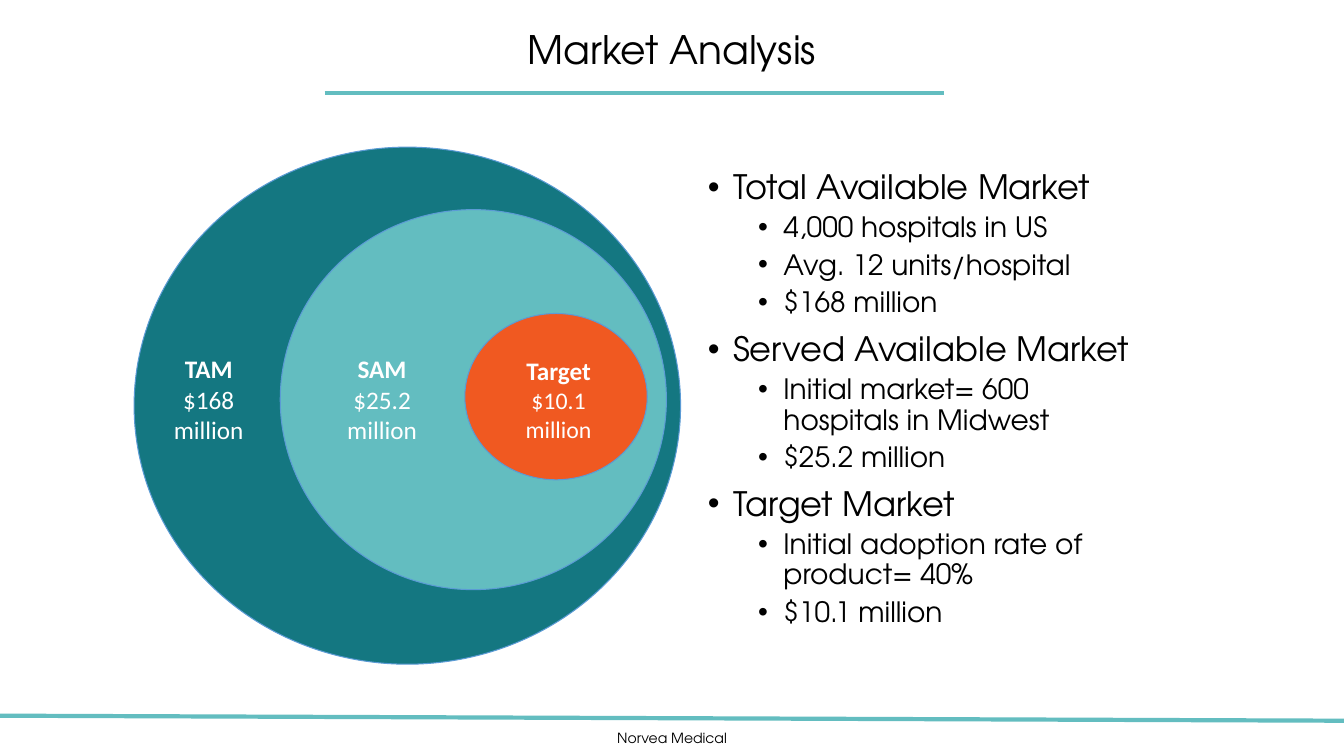
"""Build the market analysis slide with nested market circles and a bullet list."""
import pptx
import pptx.dml.color
import pptx.enum.shapes
import pptx.enum.text
import pptx.oxml
import pptx.oxml.ns
import pptx.util
from pptx.util import Inches

COLOURS = {
    "text": "000000",
    "label": "FFFFFF",
    "outline": "5B9BD5",
    "total": "147781",
    "served": "63BDC0",
    "target": "F05921",
    "rule": "63BDC0",
}
HEADING_FONT = "TeX Gyre Adventor"
LABEL_FONT = "Calibri"

CIRCLES = [
    ("total", (1.33, 1.46, 5.42, 5.13)),
    ("served", (2.78, 2.08, 3.83, 3.77)),
    ("target", (4.61, 3.11, 1.81, 1.65)),
]
LABELS = [
    ("TAM", "$168 million", 18, (1.5, 3.46, 1.14, 1.01)),
    ("SAM", "$25.2 million", 18, (3.22, 3.46, 1.14, 1.05)),
    ("Target", "$10.1 million", 17, (4.9, 3.48, 1.28, 1.01)),
]
MARKETS = [
    ("Total Available Market",
     ["4,000 hospitals in US", "Avg. 12 units/hospital", "$168 million"]),
    ("Served Available Market",
     ["Initial market= 600 hospitals in Midwest", "$25.2 million"]),
    ("Target Market",
     ["Initial adoption rate of product= 40%", "$10.1 million"]),
]


def colour(name):
    """Return the named colour."""
    return pptx.dml.color.RGBColor.from_string(COLOURS[name])


def place(shape, area):
    """Move and size a shape to an area given in inches."""
    shape.left, shape.top, shape.width, shape.height = map(Inches, area)


def style(font, face, size, colour_name, bold=False):
    """Set face, size, colour and weight of a font."""
    font.name = face
    font.size = pptx.util.Pt(size)
    font.bold = bold
    font.color.rgb = colour(colour_name)


def prepare_frame(shape, anchor=pptx.enum.text.MSO_ANCHOR.TOP):
    """Return the wrapped, fixed-size text frame of a shape."""
    frame = shape.text_frame
    frame.word_wrap = True
    frame.auto_size = pptx.enum.text.MSO_AUTO_SIZE.NONE
    frame.vertical_anchor = anchor
    return frame


def add_rule(page, start, end):
    """Draw a straight coloured rule between two points."""
    line = page.shapes.add_connector(
        pptx.enum.shapes.MSO_CONNECTOR.STRAIGHT, *map(Inches, start + end))
    line.line.color.rgb = colour("rule")
    line.line.width = pptx.util.Pt(3)
    properties = line._element.spPr
    properties.append(pptx.oxml.parse_xml(
        f'<a:effectLst {pptx.oxml.ns.nsdecls("a")}/>'))


def add_circle(page, fill, area):
    """Draw one market circle."""
    circle = page.shapes.add_shape(
        pptx.enum.shapes.MSO_SHAPE.OVAL, *map(Inches, area))
    circle.shadow.inherit = False
    circle.fill.solid()
    circle.fill.fore_color.rgb = colour(fill)
    circle.line.color.rgb = colour("outline")
    circle.line.width = pptx.util.Pt(0.75)


def add_centred_text(page, area, lines):
    """Add a text box of centred lines, each with its own font settings."""
    box = page.shapes.add_textbox(*map(Inches, area))
    frame = prepare_frame(box)
    for index, (text, *look) in enumerate(lines):
        para = frame.add_paragraph() if index else frame.paragraphs[0]
        para.text = text
        para.alignment = pptx.enum.text.PP_ALIGN.CENTER
        style(para.font, *look)


def fill_title(page, text):
    """Write the slide title."""
    title = page.shapes.title
    place(title, (0, 0.2, 13.33, 0.57))
    frame = prepare_frame(title, pptx.enum.text.MSO_ANCHOR.MIDDLE)
    para = frame.paragraphs[0]
    para.text = text
    para.alignment = pptx.enum.text.PP_ALIGN.CENTER
    style(para.font, HEADING_FONT, 28, "text")


def format_bullet(para, level, space_before):
    """Set level, spacing, indent, bullet and font of a list paragraph."""
    para.level = level
    para.line_spacing = 0.9
    para.space_before = pptx.util.Pt(space_before)
    properties = para._p.get_or_add_pPr()
    properties.set("marL", str(Inches(0.25 + 0.5 * level)))
    properties.set("indent", str(Inches(-0.25)))
    names = pptx.oxml.ns.nsdecls("a")
    for xml in (
        f'<a:buClr {names}><a:srgbClr val="{COLOURS["text"]}"/></a:buClr>',
        f'<a:buFont {names} typeface="Arial"/>',
        f'<a:buChar {names} char="•"/>',
    ):
        properties.append(pptx.oxml.parse_xml(xml))
    style(para.font, HEADING_FONT, 20 if level else 24, "text")


def fill_market_list(page):
    """Write the two-level list of markets."""
    body = page.placeholders[1]
    place(body, (6.92, 1.64, 4.58, 4.95))
    frame = prepare_frame(body)
    for index, (market, facts) in enumerate(MARKETS):
        para = frame.add_paragraph() if index else frame.paragraphs[0]
        para.text = market
        format_bullet(para, 0, 10 if index else 0)
        for fact in facts:
            para = frame.add_paragraph()
            para.text = fact
            format_bullet(para, 1, 5)


def main():
    """Build and save the deck."""
    deck = pptx.Presentation()
    deck.slide_width, deck.slide_height = Inches(13.33), Inches(7.5)
    page = deck.slides.add_slide(deck.slide_layouts[1])
    add_rule(page, (0, 7.1), (13.33, 7.15))
    add_centred_text(page, (0, 7.19, 13.33, 0.27),
                     [("Norvea Medical", HEADING_FONT, 10, "text")])
    fill_title(page, "Market Analysis")
    add_rule(page, (3.22, 0.92), (9.36, 0.92))
    fill_market_list(page)
    for fill, area in CIRCLES:
        add_circle(page, fill, area)
    for name, value, size, area in LABELS:
        add_centred_text(page, area, [
            (name, LABEL_FONT, 18, "label", True),
            (value, LABEL_FONT, size, "label"),
        ])
    deck.save("out.pptx")


if __name__ == "__main__":
    main()
